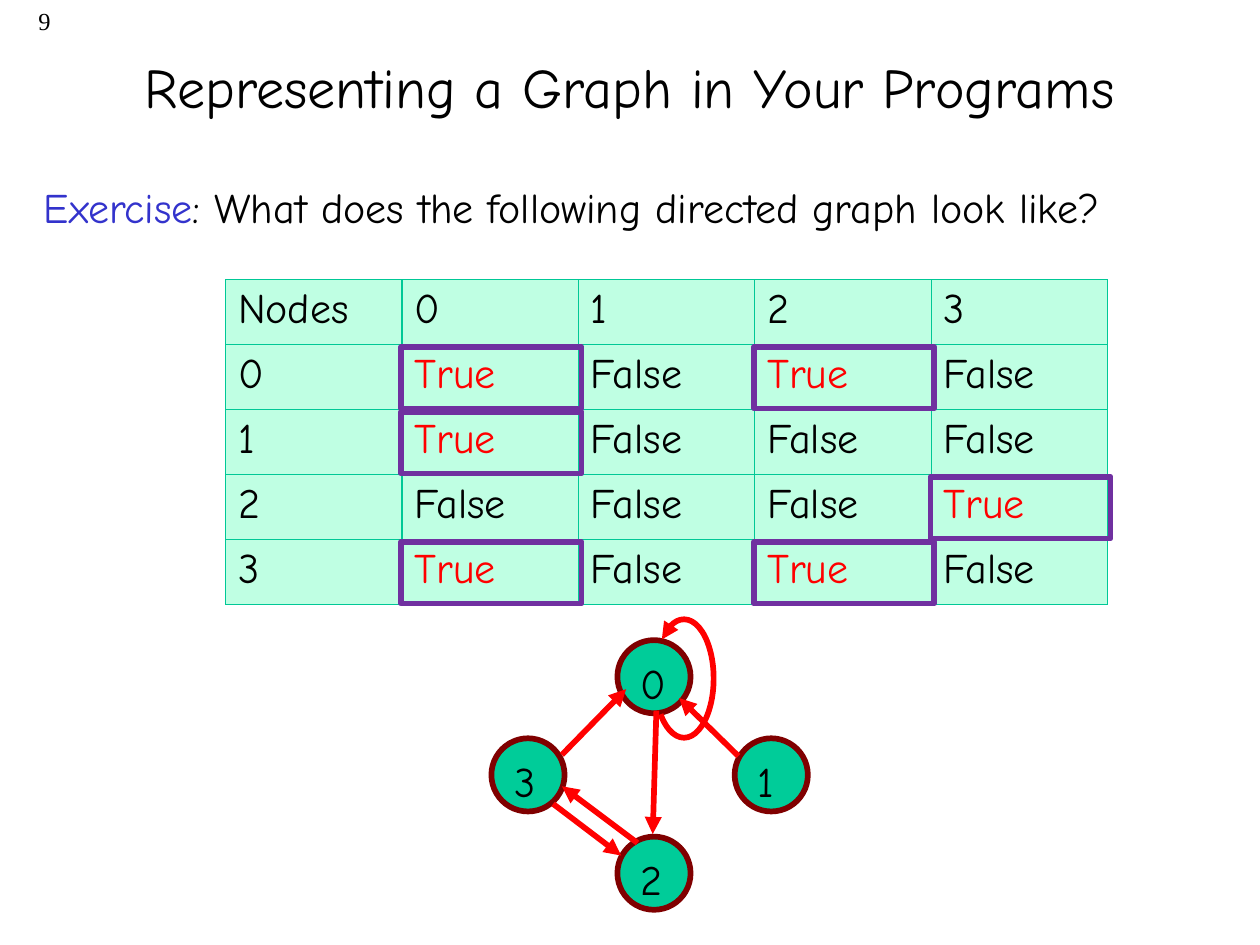
"""Build a slide that shows an adjacency matrix and its directed graph."""
import lxml.etree
import pptx
import pptx.dml.color
import pptx.enum.shapes
import pptx.enum.text
import pptx.oxml.ns
import pptx.util

Pt = pptx.util.Pt
SHAPE = pptx.enum.shapes.MSO_SHAPE
ALIGN = pptx.enum.text.PP_ALIGN
ANCHOR = pptx.enum.text.MSO_ANCHOR
qn = pptx.oxml.ns.qn

FONT = "Comic Neue"
BLACK, RED, PURPLE, BLUE = "000000", "FF0000", "7030A0", "3333CC"
NODE_FILL, NODE_LINE = "00CC99", "800000"
CELL_FILL, CELL_BORDER = "BFFFE3", "00C896"
LINE_WIDTH = 3.25
NODE_SIZE = 41.8

TABLE_LEFT, TABLE_TOP = 128.9, 159.8
COLUMN_WIDTH, ROW_HEIGHT = 100.8, 37.15
MATRIX = [
    ["Nodes", "0", "1", "2", "3"],
    ["0", "True", "False", "True", "False"],
    ["1", "True", "False", "False", "False"],
    ["2", "False", "False", "False", "True"],
    ["3", "True", "False", "True", "False"],
]
NODES = {"3": (280.8, 421.9), "0": (352.8, 365.8), "1": (419.8, 421.9), "2": (352.8, 478.1)}
EDGES = [
    (375.1, 406.1, 373, 476.6),
    (421.9, 432, 388.1, 398.9),
    (364.3, 481.7, 321.1, 449.3),
    (321.1, 431.3, 357.8, 393.8),
    (316.1, 459.4, 355, 488.9),
]


def rgb(color):
    """Turn a hex string into a colour."""
    return pptx.dml.color.RGBColor.from_string(color)


def set_font(font, color=BLACK, size=24, name=FONT):
    """Set the typeface, size and colour of a font."""
    font.name = name
    font.size = Pt(size)
    font.color.rgb = rgb(color)


def set_line(line, color):
    """Set a line to a colour and the common width."""
    line.color.rgb = rgb(color)
    line.width = Pt(LINE_WIDTH)


def add_arrowhead(shape, end):
    """Put a triangle on the headEnd or tailEnd of a line."""
    outline = shape._element.spPr.find(qn("a:ln"))
    lxml.etree.SubElement(outline, qn(f"a:{end}"), type="triangle")


def set_title(slide, text):
    """Place and format the title placeholder."""
    title = slide.shapes.title
    title.left, title.top, title.width, title.height = Pt(54), Pt(22.3), Pt(612), Pt(90)
    frame = title.text_frame
    frame.text = text
    frame.vertical_anchor = ANCHOR.MIDDLE
    frame.margin_bottom = Pt(40)
    paragraph = frame.paragraphs[0]
    paragraph.alignment = ALIGN.CENTER
    set_font(paragraph.font, size=32)


def add_text(slide, left, top, width, height):
    """Add a text box and return its first paragraph."""
    frame = slide.shapes.add_textbox(Pt(left), Pt(top), Pt(width), Pt(height)).text_frame
    frame.word_wrap = True
    return frame.paragraphs[0]


def add_page_number(slide, number):
    """Add the page number in the top left corner."""
    paragraph = add_text(slide, 0, 0, 36, 36)
    paragraph.text = number
    paragraph.alignment = ALIGN.RIGHT
    set_font(paragraph.font, size=14, name="Times New Roman")


def add_question(slide, label, question):
    """Add the exercise line with its coloured label."""
    paragraph = add_text(slide, 18, 100.1, 691, 36)
    for text, color in ((label, BLUE), (question, BLACK)):
        run = paragraph.add_run()
        run.text = text
        set_font(run.font, color)


def set_borders(cell):
    """Draw a thin line on every side of a cell."""
    properties = cell._tc.get_or_add_tcPr()
    for index, side in enumerate(("lnL", "lnR", "lnT", "lnB")):
        border = lxml.etree.Element(qn(f"a:{side}"), w=str(Pt(0.75)))
        fill = lxml.etree.SubElement(border, qn("a:solidFill"))
        lxml.etree.SubElement(fill, qn("a:srgbClr"), val=CELL_BORDER)
        properties.insert(index, border)


def add_matrix(slide):
    """Add the adjacency matrix as a table."""
    rows, columns = len(MATRIX), len(MATRIX[0])
    table = slide.shapes.add_table(
        rows, columns, Pt(TABLE_LEFT), Pt(TABLE_TOP),
        Pt(columns * COLUMN_WIDTH), Pt(rows * ROW_HEIGHT)).table
    table.first_row = table.horz_banding = False
    for row, values in enumerate(MATRIX):
        for column, value in enumerate(values):
            cell = table.cell(row, column)
            cell.text = value
            cell.fill.solid()
            cell.fill.fore_color.rgb = rgb(CELL_FILL)
            set_borders(cell)
            set_font(cell.text_frame.paragraphs[0].font, RED if value == "True" else BLACK)


def add_shape(slide, kind, left, top, width, height, color):
    """Add an unfilled shape with a coloured outline."""
    shape = slide.shapes.add_shape(kind, Pt(left), Pt(top), Pt(width), Pt(height))
    shape.shadow.inherit = False
    shape.fill.background()
    set_line(shape.line, color)
    return shape


def add_node(slide, label, left, top):
    """Add a labelled graph node."""
    node = add_shape(slide, SHAPE.OVAL, left, top, NODE_SIZE, NODE_SIZE, NODE_LINE)
    node.fill.solid()
    node.fill.fore_color.rgb = rgb(NODE_FILL)
    frame = node.text_frame
    frame.text = label
    frame.word_wrap = False
    frame.vertical_anchor = ANCHOR.TOP
    paragraph = frame.paragraphs[0]
    paragraph.alignment = ALIGN.LEFT
    set_font(paragraph.font)


def add_highlights(slide):
    """Frame every True cell of the matrix."""
    for row, values in enumerate(MATRIX):
        for column, value in enumerate(values):
            if value == "True":
                add_shape(slide, SHAPE.RECTANGLE,
                          TABLE_LEFT + column * COLUMN_WIDTH - 0.4,
                          TABLE_TOP + row * ROW_HEIGHT + 1.2, 103, 35.3, PURPLE)


def add_edge(slide, *ends):
    """Add a straight arrow between two points."""
    edge = slide.shapes.add_connector(
        pptx.enum.shapes.MSO_CONNECTOR.STRAIGHT, *map(Pt, ends))
    set_line(edge.line, RED)
    add_arrowhead(edge, "tailEnd")
    lxml.etree.SubElement(edge._element.spPr, qn("a:effectLst"))


def add_loop(slide):
    """Add the arrow from node 0 to itself."""
    loop = add_shape(slide, SHAPE.ARC, 357.1, 370.8, 67.7, 33.8, RED)
    loop.rotation = 270
    loop.adjustments[0] = 198.2
    loop.adjustments[1] = 127.98
    add_arrowhead(loop, "headEnd")


def main():
    """Build and save the presentation."""
    presentation = pptx.Presentation()
    presentation.slide_width, presentation.slide_height = Pt(720), Pt(540)
    slide = presentation.slides.add_slide(presentation.slide_layouts[5])
    add_page_number(slide, "9")
    set_title(slide, "Representing a Graph in Your Programs")
    add_question(slide, "Exercise", ": What does the following directed graph look like?")
    add_matrix(slide)
    for label, position in NODES.items():
        add_node(slide, label, *position)
    add_highlights(slide)
    add_loop(slide)
    for ends in EDGES:
        add_edge(slide, *ends)
    presentation.save("out.pptx")


if __name__ == "__main__":
    main()
